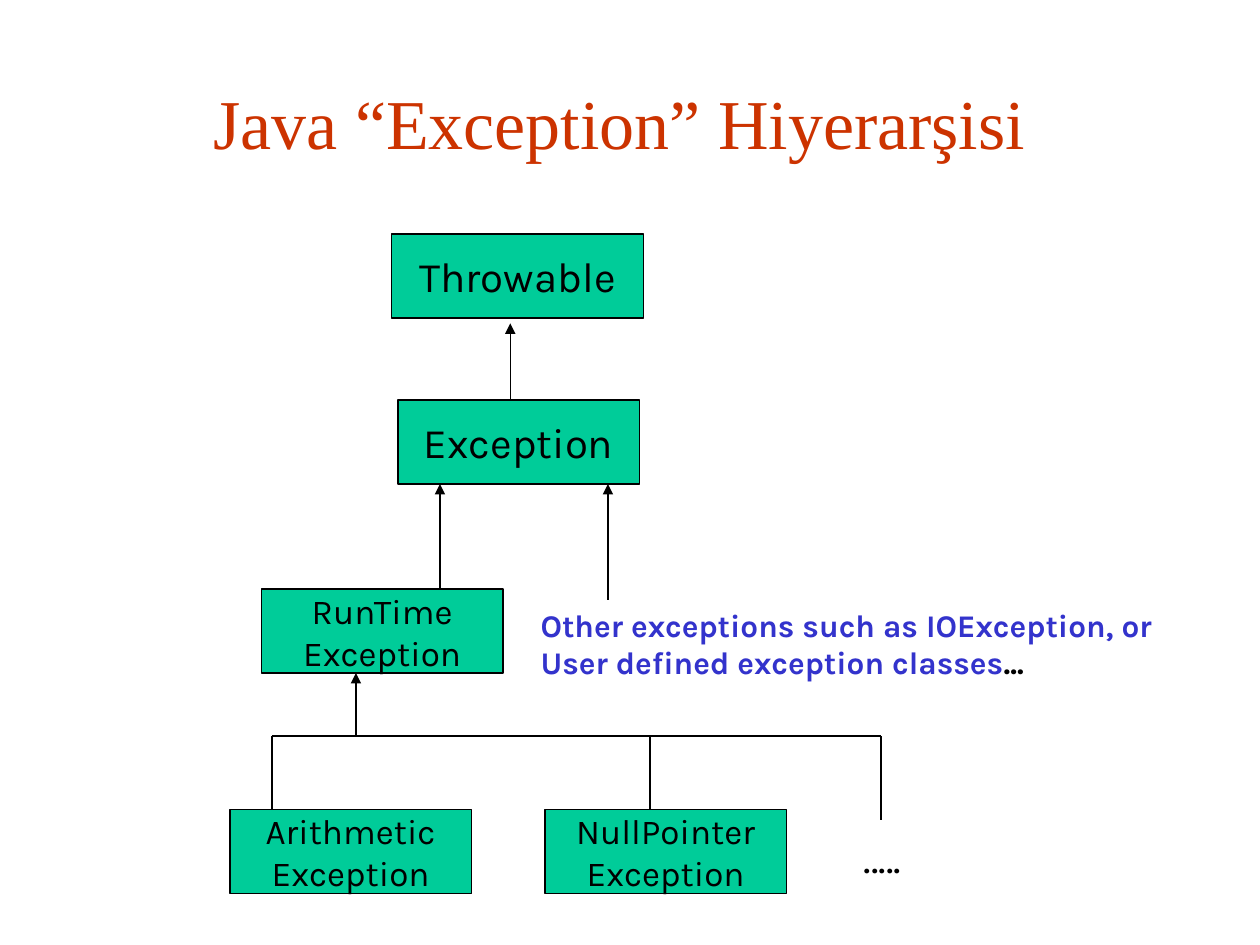
from pptx import Presentation as Deck
from pptx.dml.color import RGBColor as Color
from pptx.enum.shapes import MSO_CONNECTOR as Link, MSO_SHAPE as Form
from pptx.enum.text import MSO_ANCHOR as Anchor, MSO_AUTO_SIZE as Fit, PP_ALIGN as Align
from pptx.oxml.ns import qn
from pptx.util import Inches, Pt
from lxml.etree import SubElement as Sub

BLACK = Color(0, 0, 0)
GREEN = Color(0, 204, 153)
BLUE = Color(51, 51, 204)
RED = Color(204, 51, 0)
FONT = "Karla"
SERIF = "Times New Roman"
COLS, ROWS = 120, 90


class Chart:
    def __init__(self, deck):
        self.deck = deck
        self.slide = deck.slides.add_slide(deck.slide_layouts[6])
        self.shapes = self.slide.shapes

    def spot(self, col, row):
        return (round(self.deck.slide_width * col / COLS),
                round(self.deck.slide_height * row / ROWS))

    def label(self, shape, lines, size, align, font=FONT, color=BLACK, bold=False, **frame):
        text = shape.text_frame
        for key, value in frame.items():
            setattr(text, key, value)
        for i, line in enumerate(lines):
            para = text.paragraphs[0] if i == 0 else text.add_paragraph()
            para.alignment = align
            for words, tint in line if isinstance(line, list) else [(line, color)]:
                run = para.add_run()
                run.text = words
                style = {"name": font, "size": Pt(size), "bold": bold}
                for key, value in style.items():
                    setattr(run.font, key, value)
                run.font.color.rgb = tint

    def box(self, col, row, lines, size=20, wide=23):
        shape = self.shapes.add_shape(Form.RECTANGLE, *self.spot(col, row), *self.spot(wide, 8))
        shape.shadow.inherit = False
        shape.fill.solid()
        shape.fill.fore_color.rgb = GREEN
        shape.line.color.rgb = BLACK
        shape.line.width = Pt(0.75)
        self.label(shape, lines, size, Align.CENTER, word_wrap=False,
                   vertical_anchor=Anchor.MIDDLE)

    def note(self, col, row, wide, high, lines, size, align=Align.LEFT, **style):
        shape = self.shapes.add_textbox(*self.spot(col, row), *self.spot(wide, high))
        self.label(shape, lines, size, align, **style)

    def line(self, start, end, arrow=False):
        link = self.shapes.add_connector(Link.STRAIGHT, *self.spot(*start), *self.spot(*end))
        link.line.color.rgb = BLACK
        link.line.width = Pt(0.75)
        if arrow:
            Sub(link.line._get_or_add_ln(), qn("a:tailEnd"), type="triangle")
        Sub(link._element.spPr, qn("a:effectLst"))


def main():
    deck = Deck()
    deck.slide_width, deck.slide_height = Inches(10), Inches(7.5)
    tree = Chart(deck)
    tree.note(8, 5.3, 102, 12.5, ["Java “Exception” Hiyerarşisi"], 40, Align.CENTER,
              font=SERIF, color=RED, word_wrap=True, vertical_anchor=Anchor.MIDDLE)

    top, mid, low, bar, base = 22.3, 38.1, 56.1, 70.1, 77.1
    tree.box(37.3, top, ["Throwable"], 24, 24)
    tree.box(37.9, mid, ["Exception"], 24)
    tree.box(24.9, low, ["RunTime", "Exception"])
    for col, name in ((21.9, "Arithmetic"), (51.9, "NullPointer")):
        tree.box(col, base, [name, "Exception"])

    for col, start, end in ((48.6, mid, 30.8), (41.9, low, mid + 8),
                            (57.9, 57.1, mid + 8), (33.9, bar, low + 8)):
        tree.line((col, start), (col, end), True)
    tree.line((25.9, bar), (83.9, bar))
    for col, end in ((25.9, base), (61.9, base), (83.9, 78.1)):
        tree.line((col, bar), (col, end))

    grow = {"word_wrap": False, "auto_size": Fit.SHAPE_TO_FIT_TEXT}
    tree.note(81.1, 78.6, 7.7, 6, ["....."], 24, **grow)
    tree.note(50.3, 57.1, 64, 8.4,
              ["Other exceptions such as IOException, or",
               [("User defined exception classes", BLUE), ("...", BLACK)]],
              18, color=BLUE, bold=True, **grow)
    deck.save("out.pptx")


if __name__ == "__main__":
    main()
